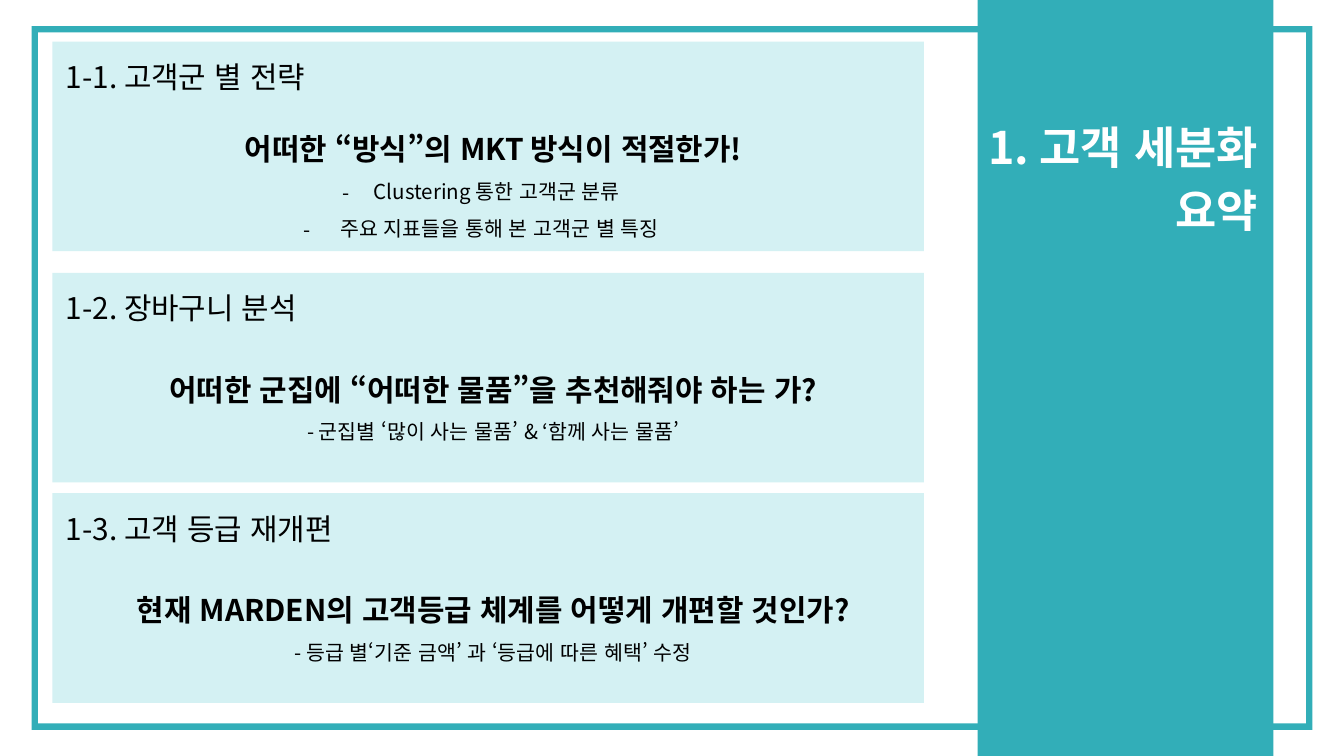
from lxml.etree import SubElement
from pptx import Presentation
from pptx.dml.color import RGBColor
from pptx.enum.lang import MSO_LANGUAGE_ID
from pptx.enum.shapes import MSO_SHAPE
from pptx.enum.text import MSO_AUTO_SIZE, PP_ALIGN
from pptx.oxml.ns import qn
from pptx.util import Emu, Pt

PX = 4572  # 200 px to the inch
FONT = "Noto Sans CJK KR"
TEAL, PALE, BLACK, WHITE = "32AEB8", "D4F1F3", "000000", "FFFFFF"
LEFT, CARD_W, CARD_H = 78, 1297, 312

# Card top, heading, question top and height, question, details, bulleted
CARDS = [
    (62, "1-1. 고객군 별 전략", 158, 212, "어떠한 “방식”의 MKT 방식이 적절한가!",
     ["Clustering 통한 고객군 분류", " 주요 지표들을 통해 본 고객군 별 특징"], True),
    (406, "1-2. 장바구니 분석", 516, 156,
     "어떠한 군집에 “어떠한 물품”을 추천해줘야 하는 가?",
     ["- 군집별 ‘많이 사는 물품’ & ‘함께 사는 물품’"], False),
    (734, "1-3. 고객 등급 재개편", 844, 156,
     "현재 MARDEN의 고객등급 체계를 어떻게 개편할 것인가?",
     ["- 등급 별‘기준 금액’ 과 ‘등급에 따른 혜택’ 수정"], False),
]


def px(*values):
    return [Emu(v * PX) for v in values]


def color(value):
    return RGBColor.from_string(value)


def add_block(s, kind, box, fill):
    sp = s.shapes.add_shape(kind, *px(*box))
    sp.shadow.inherit = False
    sp.fill.solid()
    sp.fill.fore_color.rgb = color(fill)
    sp.line.fill.background()
    return sp


def add_text(s, box, lines, fill=BLACK, align=PP_ALIGN.LEFT, grow=True):
    """Each line is (text, size, bold); returns the paragraphs."""
    tf = s.shapes.add_textbox(*px(*box)).text_frame
    tf.word_wrap = True
    tf.auto_size = MSO_AUTO_SIZE.SHAPE_TO_FIT_TEXT if grow else MSO_AUTO_SIZE.NONE
    tf.text = "\n".join(text for text, _, _ in lines)
    for p, (_, size, bold) in zip(tf.paragraphs, lines):
        p.alignment = align
        for r in p.runs:
            r.font.size = Pt(size)
            r.font.bold = bold
            r.font.name = FONT
            r.font.language_id = MSO_LANGUAGE_ID.KOREAN
            r.font.color.rgb = color(fill)
            # East Asian typeface for the Korean letters
            SubElement(r.font._element, qn("a:ea"), typeface=FONT)
    return tf.paragraphs


def add_dash(p, margin=9, indent=-46):
    pPr = p._p.get_or_add_pPr()
    pPr.set("marL", str(margin * PX))
    pPr.set("indent", str(indent * PX))
    SubElement(pPr, qn("a:buFont"), typeface=FONT)
    SubElement(pPr, qn("a:buChar"), char="-")


def add_card(s, top, heading, question_top, height, question, details, bulleted):
    add_block(s, MSO_SHAPE.RECTANGLE, (LEFT, top, CARD_W, CARD_H), PALE)
    add_text(s, (LEFT, top + 16, 656, 74), [(heading, 16, False)])
    lines = [(question, 16, True)] + [(d, 11, False) for d in details]
    paragraphs = add_text(s, (LEFT, question_top, 1312, height), lines,
                          align=PP_ALIGN.CENTER)
    for p in paragraphs:
        p.line_spacing = 1.5
    if bulleted:
        for p in paragraphs[1:]:
            add_dash(p)


def main():
    prs = Presentation()
    prs.slide_width, prs.slide_height = px(2000, 1125)
    s = prs.slides.add_slide(prs.slide_layouts[6])

    # Border and side band
    border = add_block(s, MSO_SHAPE.FRAME, (47, 39, 1906, 1047), TEAL)
    border.adjustments[0] = 0.009
    add_block(s, MSO_SHAPE.RECTANGLE, (1455, 0, 440, 1125), TEAL)

    # Title
    title = [("1. 고객 세분화", 24, True), ("요약", 24, True)]
    for p in add_text(s, (1440, 168, 452, 316), title, WHITE, PP_ALIGN.RIGHT, False):
        p.space_before = Pt(4.8)

    # Summary cards
    for card in CARDS:
        add_card(s, *card)

    prs.save("out.pptx")


if __name__ == "__main__":
    main()
